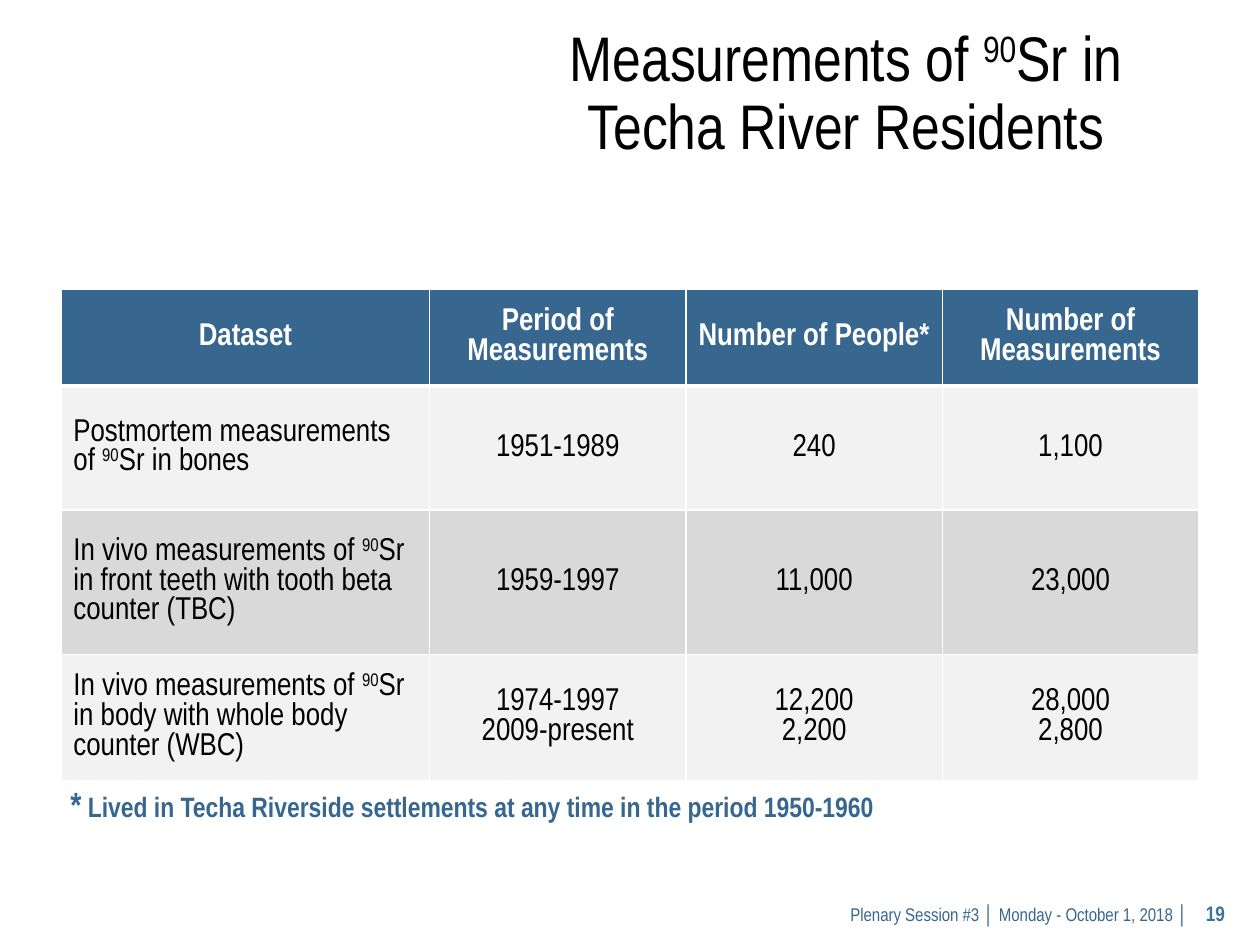
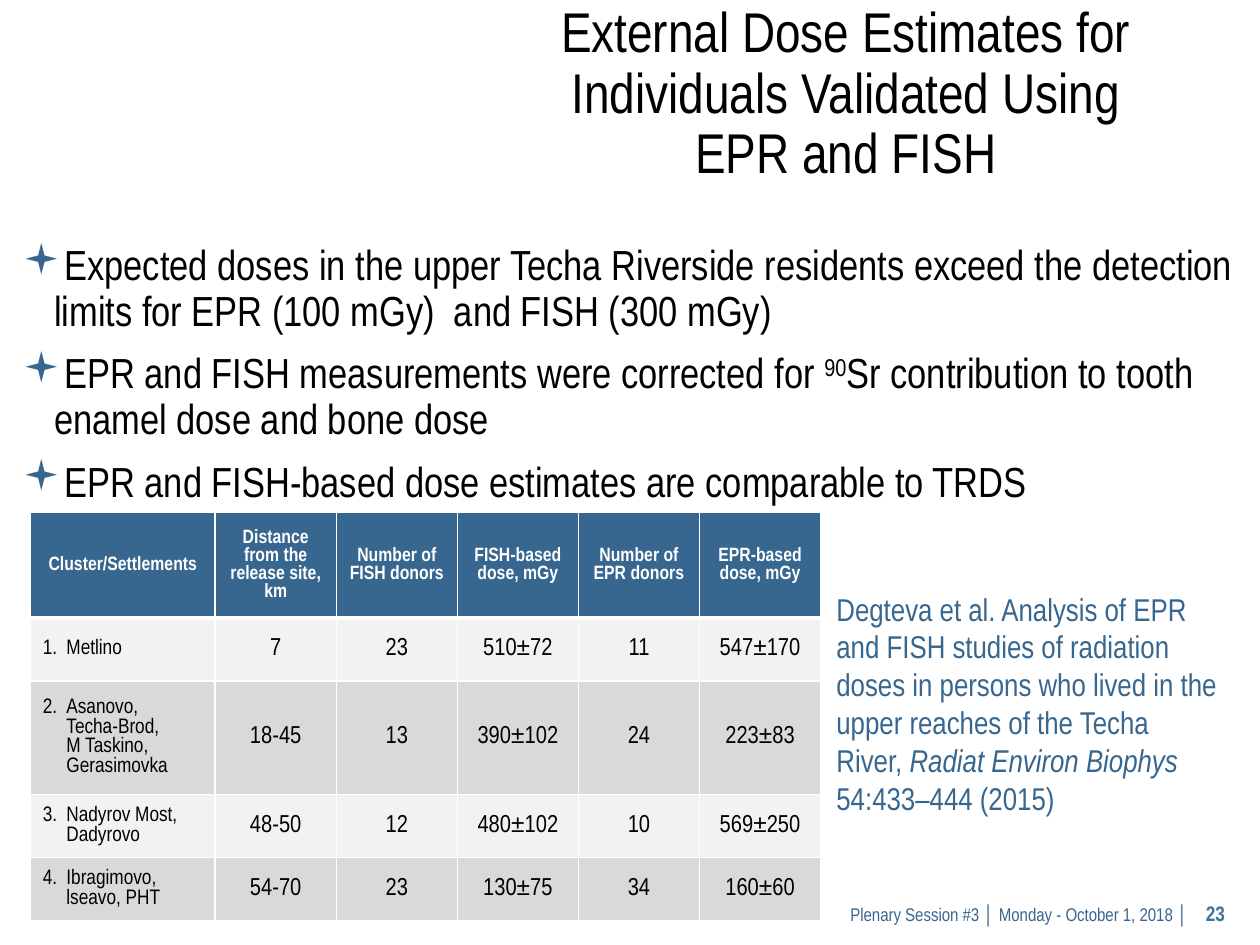
"""Build two slides on Techa River strontium measurements and dose estimates."""
from dataclasses import dataclass
from typing import NamedTuple, Optional, Union

from lxml.etree import SubElement
from pptx import Presentation
from pptx.dml.color import RGBColor
from pptx.enum.text import MSO_ANCHOR, MSO_AUTO_SIZE, PP_ALIGN
from pptx.oxml.ns import qn
from pptx.util import Pt


@dataclass(frozen=True)
class Theme:
    """Colours and type sizes in points."""
    font: str = "Arial Narrow"
    bullet_font: str = "Wingdings"
    black: str = "000000"
    white: str = "FFFFFF"
    blue: str = "37668F"
    number_blue: str = "3C7499"
    bands: tuple[str, str] = ("F2F2F2", "D9D9D9")
    title: float = 36
    long_title: float = 32
    body: float = 24
    star: float = 20
    reference: float = 18
    footnote: float = 16
    footer: float = 10.5
    page_number: float = 12
    wide_table: float = 18
    dose_header: float = 11
    dose_label: float = 12
    dose_value: float = 14
    tight: float = 0.9


class Frame(NamedTuple):
    """Place and size in points."""
    left: float
    top: float
    width: float
    height: float


class Span(NamedTuple):
    """Piece of text with its own format."""
    text: str
    raised: bool = False
    italic: bool = False
    size: Optional[float] = None


class Line(NamedTuple):
    """Paragraph with an optional bullet character or list number."""
    spans: tuple[Span, ...]
    marker: Union[str, int, None] = None
    indent: float = 0


class TableStyle(NamedTuple):
    """Type sizes of the header, first column and other cells."""
    header: float
    label: float
    value: float


THEME = Theme()
TITLE_FRAME = Frame(252.7, 5, 461.5, 98.6)
FOOTER_FRAME = Frame(477.4, 512.6, 208.8, 20.2)
NUMBER_FRAME = Frame(675.4, 512.6, 38.2, 18.7)
FOOTER = "Plenary Session #3 │ Monday - October 1, 2018 │ "
LIST_INDENT = 13.5
CELL_MARGIN = 7


def line(*parts: Union[str, Span], marker: Union[str, int, None] = None,
         indent: float = 0) -> Line:
    """Make a paragraph of strings and spans."""
    spans = tuple(Span(part) if isinstance(part, str) else part for part in parts)
    return Line(spans, marker, indent)


def strontium(before: str, after: str, **options) -> Line:
    """Make a paragraph that holds the isotope name."""
    return line(before, Span("90", raised=True), "Sr" + after, **options)


def add_marker(para, item: Line) -> None:
    """Give a paragraph its indent and its bullet or number."""
    properties = para._p.get_or_add_pPr()
    hang = item.indent if item.marker is not None else 0
    properties.set("marL", str(Pt(item.indent)))
    properties.set("indent", str(-Pt(hang)))
    if isinstance(item.marker, int):
        SubElement(properties, qn("a:buAutoNum"), type="arabicPeriod",
                   startAt=str(item.marker))
    elif item.marker:
        color = SubElement(properties, qn("a:buClr"))
        SubElement(color, qn("a:srgbClr"), val=THEME.blue)
        SubElement(properties, qn("a:buFont"), typeface=THEME.bullet_font)
        SubElement(properties, qn("a:buChar"), char=item.marker)


def write(text_frame, text: Union[str, tuple[Line, ...]], *, size: float,
          color: str = THEME.black, bold: bool = False,
          align: PP_ALIGN = PP_ALIGN.LEFT, spacing: float = 1,
          before: float = 0) -> None:
    """Fill a text frame with formatted paragraphs."""
    items = (line(text),) if isinstance(text, str) else text
    for index, item in enumerate(items):
        para = text_frame.add_paragraph() if index else text_frame.paragraphs[0]
        if item.indent:
            add_marker(para, item)
        para.alignment = align
        para.line_spacing = spacing
        para.space_before = Pt(before if index else 0)
        for part in item.spans:
            for row, words in enumerate(part.text.split("\n")):
                if row:
                    para.add_line_break()
                span = para.add_run()
                span.text = words
                span.font.name = THEME.font
                span.font.size = Pt(part.size or size)
                span.font.bold = bold
                span.font.italic = part.italic
                span.font.color.rgb = RGBColor.from_string(color)
                if part.raised:
                    span._r.get_or_add_rPr().set("baseline", "30000")


def add_text(page, frame: Frame, text: Union[str, tuple[Line, ...]], *,
             anchor: MSO_ANCHOR = MSO_ANCHOR.TOP, **options) -> None:
    """Add a wrapped text box."""
    box = page.shapes.add_textbox(*map(Pt, frame))
    box.text_frame.word_wrap = True
    box.text_frame.vertical_anchor = anchor
    write(box.text_frame, text, **options)


def add_page(deck, title: Line, number: int, title_size: float):
    """Add a slide with its title, footer and number."""
    page = deck.slides.add_slide(deck.slide_layouts[5])
    heading = page.shapes.title
    heading.left, heading.top, heading.width, heading.height = map(Pt, TITLE_FRAME)
    heading.text_frame.word_wrap = True
    heading.text_frame.auto_size = MSO_AUTO_SIZE.NONE
    heading.text_frame.vertical_anchor = MSO_ANCHOR.MIDDLE
    write(heading.text_frame, (title,), size=title_size,
          align=PP_ALIGN.CENTER, spacing=THEME.tight)
    add_text(page, FOOTER_FRAME, FOOTER, size=THEME.footer, color=THEME.blue,
             align=PP_ALIGN.RIGHT)
    add_text(page, NUMBER_FRAME, str(number), size=THEME.page_number,
             color=THEME.number_blue, bold=True, align=PP_ALIGN.CENTER,
             anchor=MSO_ANCHOR.MIDDLE)
    return page


def style_cell(cell, fill: str, top: float, bottom: float) -> None:
    """Give a cell white borders, margins and a fill."""
    properties = cell._tc.get_or_add_tcPr()
    for side, width in (("L", 1), ("R", 1), ("T", top), ("B", bottom)):
        border = SubElement(properties, qn(f"a:ln{side}"), w=str(Pt(width)))
        paint = SubElement(border, qn("a:solidFill"))
        SubElement(paint, qn("a:srgbClr"), val=THEME.white)
    cell.fill.solid()
    cell.fill.fore_color.rgb = RGBColor.from_string(fill)
    cell.margin_left = cell.margin_right = Pt(CELL_MARGIN)
    cell.vertical_anchor = MSO_ANCHOR.MIDDLE


def add_data_table(page, left: float, top: float, widths: list[float],
                   heights: list[float], rows: list[tuple],
                   style: TableStyle) -> None:
    """Add a table with a blue header and grey bands."""
    shape = page.shapes.add_table(len(heights), len(widths), Pt(left), Pt(top),
                                  Pt(sum(widths)), Pt(sum(heights)))
    table = shape.table
    for column, width in zip(table.columns, widths):
        column.width = Pt(width)
    for index, (height, texts) in enumerate(zip(heights, rows)):
        table.rows[index].height = Pt(height)
        header = index == 0
        fill = THEME.blue if header else THEME.bands[(index - 1) % 2]
        for position, text in enumerate(texts):
            cell = table.cell(index, position)
            label = position == 0 and not header
            style_cell(cell, fill, 3 if index == 1 else 1, 3 if header else 1)
            size = style.header if header else style.label if label else style.value
            write(cell.text_frame, text, size=size, bold=header,
                  color=THEME.white if header else THEME.black,
                  align=PP_ALIGN.LEFT if label else PP_ALIGN.CENTER)


def build_measurements(deck) -> None:
    """Build the slide on measurements in residents."""
    title = strontium("Measurements of ", " in\nTecha River Residents")
    page = add_page(deck, title, 19, THEME.title)
    rows = [
        ("Dataset", "Period of Measurements", "Number of People*",
         "Number of Measurements"),
        ((strontium("Postmortem measurements of ", " in bones"),),
         "1951-1989", "240", "1,100"),
        ((strontium("In vivo measurements of ",
                    " in front teeth with tooth beta counter (TBC)"),),
         "1959-1997", "11,000", "23,000"),
        ((strontium("In vivo measurements of ",
                    " in body with whole body counter (WBC)"),),
         (line("1974-1997"), line("2009-present")),
         (line("12,200"), line("2,200")), (line("28,000"), line("2,800"))),
    ]
    size = THEME.wide_table
    add_data_table(page, 35, 165.2, [210.5] + [146.5] * 3,
                   [55.4, 70.8, 82.6, 72], rows, TableStyle(size, size, size))
    note = line(Span("*", size=THEME.star),
                " Lived in Techa Riverside settlements at any time"
                " in the period 1950-1960")
    add_text(page, Frame(33.1, 443.5, 612, 31), (note,), size=THEME.footnote,
             color=THEME.blue, bold=True)


def build_doses(deck) -> None:
    """Build the slide on validated external doses."""
    title = line("External Dose Estimates for Individuals Validated Using\n"
                 "EPR and FISH")
    page = add_page(deck, title, 23, THEME.long_title)
    bullet = {"marker": "▪", "indent": 18}
    points = (
        line("Expected doses in the upper Techa Riverside residents exceed the "
             "detection limits for EPR (100 mGy)  and FISH (300 mGy)", **bullet),
        strontium("EPR and FISH measurements were corrected for ",
                  " contribution to tooth enamel dose and bone dose", **bullet),
        line("EPR and FISH-based dose estimates are comparable to TRDS", **bullet),
    )
    add_text(page, Frame(5.8, 136.1, 707.8, 157), points, size=THEME.body,
             spacing=THEME.tight, before=10)
    reference = line(
        "Degteva et al. Analysis of EPR and FISH studies of radiation doses in "
        "persons who lived in the upper reaches of the Techa River, ",
        Span("Radiat Environ Biophys", italic=True), " 54:433–444 (2015)")
    add_text(page, Frame(470.9, 333.4, 233.3, 138.2), (reference,),
             size=THEME.reference, color=THEME.blue)
    clusters = [
        (("Metlino",), "7", "23", "510±72", "11", "547±170"),
        (("Asanovo,", "Techa-Brod,", "M Taskino, Gerasimovka"),
         "18-45", "13", "390±102", "24", "223±83"),
        (("Nadyrov Most, Dadyrovo",), "48-50", "12", "480±102", "10", "569±250"),
        (("Ibragimovo, lseavo, PHT",), "54-70", "23", "130±75", "34", "160±60"),
    ]
    rows = [("Cluster/Settlements", "Distance from the release site, km",
             "Number of FISH donors", "FISH-based dose, mGy",
             "Number of EPR donors", "EPR-based dose, mGy")]
    for number, (names, *values) in enumerate(clusters, start=1):
        label = tuple(line(name, marker=None if place else number,
                           indent=LIST_INDENT)
                      for place, name in enumerate(names))
        rows.append((label, *values))
    add_data_table(page, 17.5, 293, [105.5] + [69.2] * 5,
                   [59.8, 36, 64.8, 36, 36], rows,
                   TableStyle(THEME.dose_header, THEME.dose_label,
                              THEME.dose_value))


def main() -> None:
    """Build and save the deck."""
    deck = Presentation()
    deck.slide_width, deck.slide_height = Pt(720), Pt(540)
    build_measurements(deck)
    build_doses(deck)
    deck.save("out.pptx")


if __name__ == "__main__":
    main()
